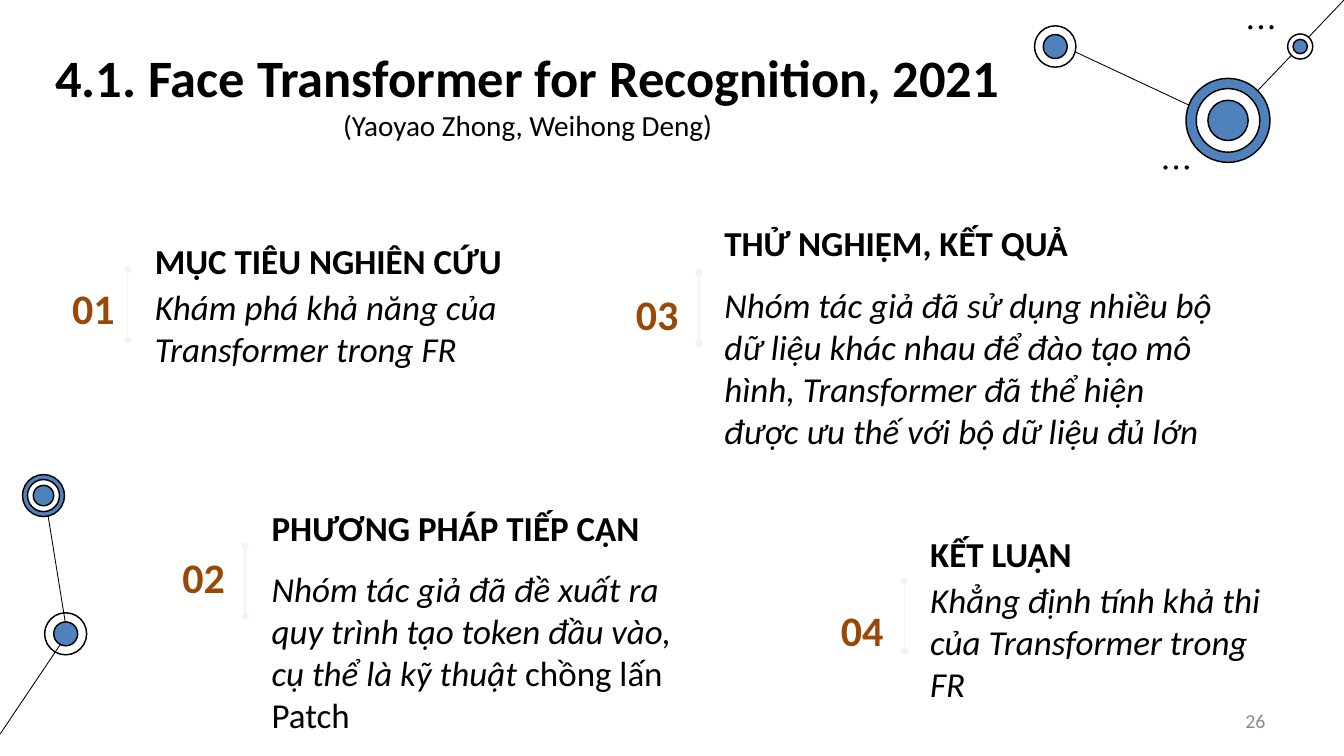
from lxml.etree import SubElement
from pptx import Presentation
from pptx.dml.color import RGBColor
from pptx.enum.shapes import MSO_CONNECTOR, MSO_SHAPE
from pptx.enum.text import MSO_ANCHOR, PP_ALIGN
from pptx.oxml.ns import qn
from pptx.util import Pt

FONT = "Calibri"
BLACK = "000000"
WHITE = "FFFFFF"
BLUE = "4F81BD"
BROWN = "984807"
PALE = "F3F3F3"
GRAY = "8C8C8C"

LINKS = [
    ((57.6, 543.6), (38.2, 423.4)),
    ((0, 629.3), (56.2, 545.8)),
    ((1052.6, 105.8), (906.5, 37.4)),
    ((1152, 0), (1052.6, 104.4)),
]

NODES = [
    ((56.3, 543.3), [(36, None), (20.5, BLUE)]),
    ((37.3, 424.8), [(36, BLUE), (27.5, WHITE), (17.5, BLUE)]),
    ((1052.6, 103.2), [(72, BLUE), (54.5, WHITE), (34.5, BLUE)]),
    ((904.5, 39.9), [(35.5, WHITE), (20.5, BLUE)]),
    ((1114.5, 39.9), [(21.5, WHITE), (12.3, BLUE)]),
]

DOT_ROWS = [(1071.7, 23.4), (999, 143.6)]

SECTIONS = [
    dict(number="01", number_box=(24.5, 239, 83.5, 49), divider=(109.4, 231.1),
         heading="MỤC TIÊU NGHIÊN CỨU", heading_box=(123.1, 203.8, 336.2, 39.6),
         body=[("Khám phá khả năng của Transformer trong FR", True)],
         body_box=(123.1, 234.7, 360, 61.2)),
    dict(number="02", number_box=(126, 473.8, 76.3, 41.8), divider=(210.2, 468),
         heading="PHƯƠNG PHÁP TIẾP CẬN", heading_box=(223.2, 432, 351.4, 39.6),
         body=[("Nhóm tác giả đã đề xuất ra quy trình tạo token đầu vào, "
                "cụ thể là kỹ thuật ", True), ("chồng lấn Patch", False)],
         body_box=(223.2, 476.6, 392.4, 61.2)),
    dict(number="03", number_box=(509.8, 244.1, 81.4, 50.4), divider=(599, 234),
         heading="THỬ NGHIỆM, KẾT QUẢ", heading_box=(611.3, 187.9, 442.1, 39.6),
         body=[("Nhóm tác giả đã sử dụng nhiều bộ dữ liệu khác nhau để đào tạo "
                "mô hình, Transformer đã thể hiện được ưu thế với bộ dữ liệu "
                "đủ lớn", True)],
         body_box=(611.3, 233.3, 442.1, 61.2)),
    dict(number="04", number_box=(686.2, 515.5, 80.6, 49), divider=(775.4, 498.2),
         heading="KẾT LUẬN", heading_box=(787.7, 455, 237.6, 39.6),
         body=[("Khẳng định tính khả thi của Transformer trong FR", True)],
         body_box=(787.7, 486, 310.3, 61.2)),
]


def color(value):
    return RGBColor.from_string(value)


def add_line(page, start, end, stroke, width, oval_ends=False):
    line = page.shapes.add_connector(
        MSO_CONNECTOR.STRAIGHT, *map(Pt, start), *map(Pt, end))
    line.line.color.rgb = color(stroke)
    line.line.width = Pt(width)
    properties = line.line._get_or_add_ln()
    if oval_ends:
        for name in ("a:headEnd", "a:tailEnd"):
            SubElement(properties, qn(name), type="oval")
    SubElement(properties.getparent(), qn("a:effectLst"))


def add_circle(page, center, diameter, fill, outlined=True):
    x, y = center
    circle = page.shapes.add_shape(
        MSO_SHAPE.OVAL, Pt(x - diameter / 2), Pt(y - diameter / 2),
        Pt(diameter), Pt(diameter))
    circle.shadow.inherit = False
    if fill:
        circle.fill.solid()
        circle.fill.fore_color.rgb = color(fill)
    else:
        circle.fill.background()
    if outlined:
        circle.line.color.rgb = color(BLACK)
        circle.line.width = Pt(1.25)
    else:
        circle.line.fill.background()


def add_dots(page, first_center):
    x, y = first_center
    for index in range(3):
        add_circle(page, (x + 9.1 * index, y), 3.6, BLACK, outlined=False)


def add_box(page, place, anchor=MSO_ANCHOR.MIDDLE, inset=9.6):
    box = page.shapes.add_textbox(*map(Pt, place))
    frame = box.text_frame
    frame.word_wrap = True
    frame.vertical_anchor = anchor
    frame.margin_left = frame.margin_right = Pt(inset)
    frame.margin_top = frame.margin_bottom = Pt(inset)
    return frame


def style(para, size, fill=BLACK, bold=False, align=PP_ALIGN.LEFT):
    para.alignment = align
    para.font.name = FONT
    para.font.size = Pt(size)
    para.font.bold = bold
    para.font.color.rgb = color(fill)


def add_label(page, place, text, size, fill=BLACK, bold=True, align=PP_ALIGN.LEFT):
    para = add_box(page, place).paragraphs[0]
    para.text = text
    style(para, size, fill, bold, align)


def add_title(page):
    frame = add_box(page, (0, 28.8, 904.3, 79.2), MSO_ANCHOR.TOP)
    title = frame.paragraphs[0]
    title.text = "4.1. Face Transformer for Recognition, 2021"
    style(title, 45, bold=True, align=PP_ALIGN.CENTER)
    authors = frame.add_paragraph()
    authors.text = "(Yaoyao Zhong, Weihong Deng)"
    style(authors, 25, align=PP_ALIGN.CENTER)


def add_body(page, place, spans):
    para = add_box(page, place, MSO_ANCHOR.TOP).paragraphs[0]
    style(para, 30)
    for text, italic in spans:
        span = para.add_run()
        span.text = text
        span.font.italic = italic


def add_section(page, section):
    add_label(page, section["heading_box"], section["heading"], 30)
    add_body(page, section["body_box"], section["body"])
    add_label(page, section["number_box"], section["number"], 36, BROWN,
              align=PP_ALIGN.RIGHT)
    x, y = section["divider"]
    add_line(page, (x, y), (x, y + 60), PALE, 1.5, oval_ends=True)


def main():
    deck = Presentation()
    deck.slide_width, deck.slide_height = Pt(1152), Pt(648)
    page = deck.slides.add_slide(deck.slide_layouts[6])
    for start, end in LINKS:
        add_line(page, start, end, BLACK, 0.75)
    for center, rings in NODES:
        for diameter, fill in rings:
            add_circle(page, center, diameter, fill)
    for first_center in DOT_ROWS:
        add_dots(page, first_center)
    add_title(page)
    for section in SECTIONS:
        add_section(page, section)
    add_label(page, (825.8, 600.5, 268.6, 34.6), "26", 17, GRAY, bold=False,
              align=PP_ALIGN.RIGHT)
    deck.save("out.pptx")


if __name__ == "__main__":
    main()
